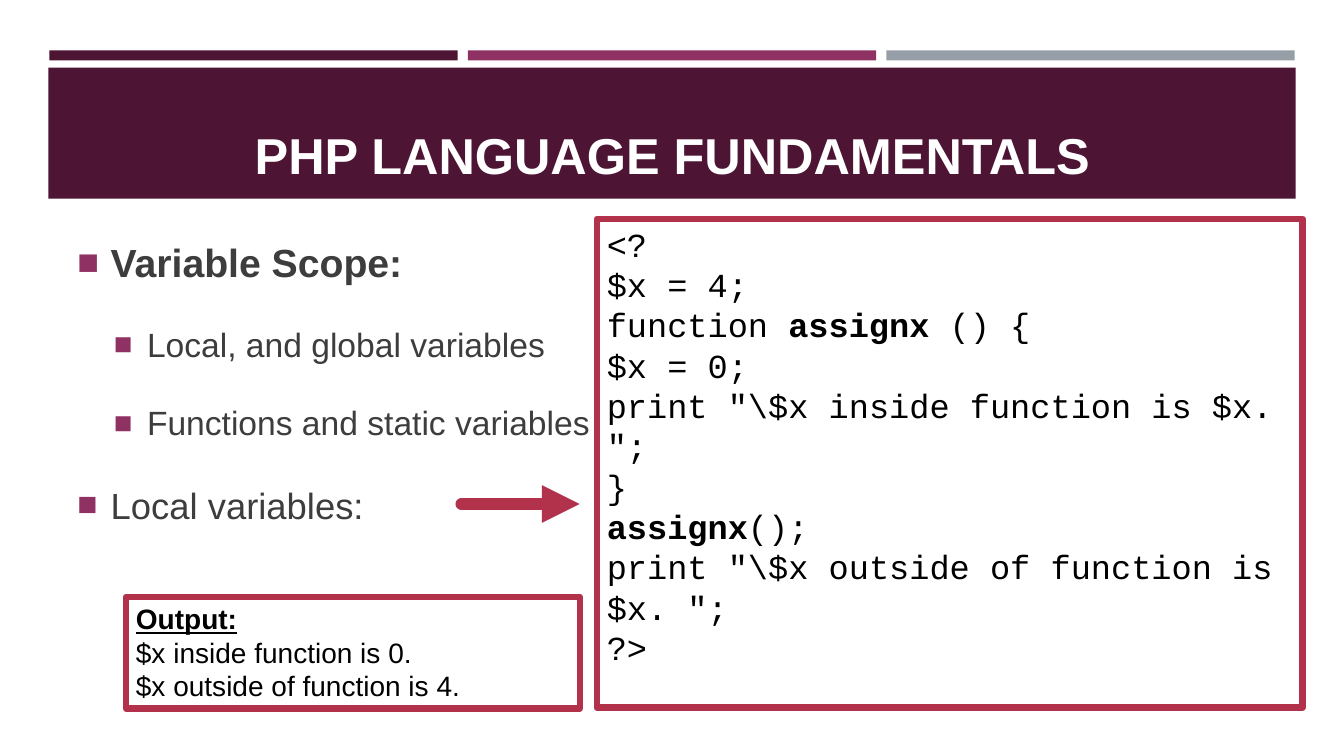
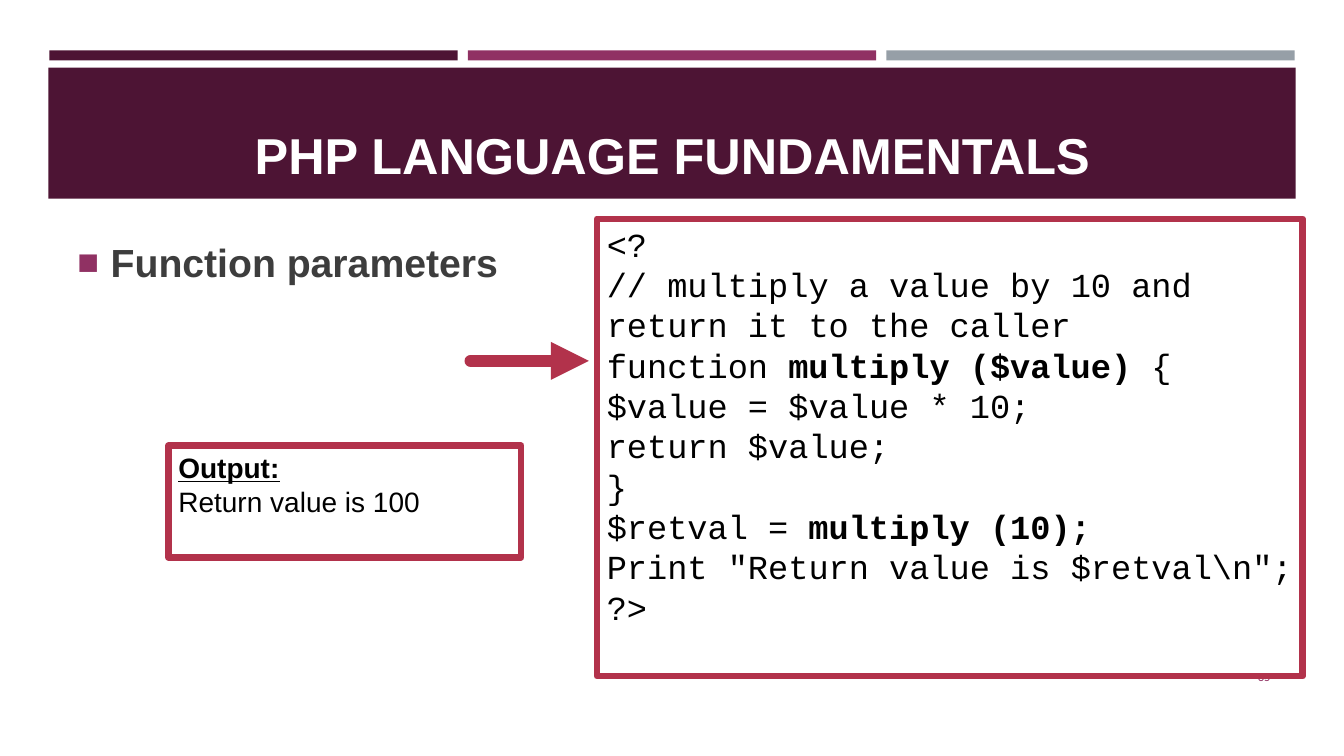
from lxml.etree import SubElement
from pptx import Presentation
from pptx.dml.color import RGBColor
from pptx.enum.shapes import MSO_CONNECTOR as Connector, MSO_SHAPE as Shape
from pptx.enum.text import MSO_ANCHOR as Anchor, PP_ALIGN as Align
from pptx.oxml.ns import qn
from pptx.util import Inches, Pt

# Shared look
PLUM, MAGENTA, GREY = "4D1434", "903163", "969FA7"
RED, WHITE, BLACK, BODY_GREY = "B2324B", "FFFFFF", "000000", "3D3D3D"
SANS, MONO, NUMBER_FONT = "Arial", "Courier New", "Calibri"
TITLE = "PHP LANGUAGE FUNDAMENTALS"
INDENTS = (0.33, 0.69)
HANGING = 0.33


def color(hex_string):
    return RGBColor.from_string(hex_string)


def add_text(paragraph, text, font=SANS, size=20, fill=BLACK, bold=False, underline=False):
    run = paragraph.add_run()
    run.text = text
    run.font.name = font
    run.font.size = Pt(size)
    run.font.bold = bold
    run.font.underline = underline
    run.font.color.rgb = color(fill)


def add_rectangle(slide, left, top, width, height, fill, border=None):
    shape = slide.shapes.add_shape(
        Shape.RECTANGLE, Inches(left), Inches(top), Inches(width), Inches(height))
    shape.shadow.inherit = False
    shape.fill.solid()
    shape.fill.fore_color.rgb = color(fill)
    if border:
        shape.line.color.rgb = color(border)
        shape.line.width = Pt(4.5)
    else:
        shape.line.fill.background()
    return shape


def add_text_box(slide, left, top, width, height, anchor=Anchor.TOP):
    box = slide.shapes.add_textbox(Inches(left), Inches(top), Inches(width), Inches(height))
    box.text_frame.word_wrap = True
    box.text_frame.vertical_anchor = anchor
    return box.text_frame


def next_paragraph(frame, index):
    return frame.add_paragraph() if index else frame.paragraphs[0]


def add_header(slide):
    # Three narrow bands above the title band
    for column, fill in enumerate((PLUM, MAGENTA, GREY)):
        add_rectangle(slide, 0.49 + column * 4.15, 0.5, 4.05, 0.1, fill)
    add_rectangle(slide, 0.48, 0.67, 12.37, 1.3, PLUM)
    paragraph = add_text_box(slide, 0.64, 0.77, 12.06, 1.11, Anchor.BOTTOM).paragraphs[0]
    paragraph.alignment = Align.CENTER
    add_text(paragraph, TITLE, size=36, fill=WHITE, bold=True)


def add_bullet(paragraph, level):
    properties = paragraph._p.get_or_add_pPr()
    properties.set("marL", str(Inches(INDENTS[level])))
    properties.set("indent", str(-Inches(HANGING)))
    bullet_color = SubElement(properties, qn("a:buClr"))
    SubElement(bullet_color, qn("a:srgbClr"), val=MAGENTA)
    SubElement(properties, qn("a:buSzPct"), val="92000")
    SubElement(properties, qn("a:buFont"), typeface=SANS)
    SubElement(properties, qn("a:buChar"), char="■")


def add_bullets(slide, items):
    frame = add_text_box(slide, 0.67, 2.08, 12, 5.42)
    for index, (level, text, size, bold) in enumerate(items):
        paragraph = next_paragraph(frame, index)
        add_bullet(paragraph, level)
        paragraph.level = level
        paragraph.line_spacing = 1.5
        paragraph.space_after = Pt(6)
        if index:
            paragraph.space_before = Pt(7)
        add_text(paragraph, text, size=size, fill=BODY_GREY, bold=bold)


def add_framed_box(slide, left, top, width, height):
    frame = add_rectangle(slide, left, top, width, height, WHITE, RED).text_frame
    frame.word_wrap = True
    frame.vertical_anchor = Anchor.TOP
    return frame


def add_code(slide, height, lines):
    # Each line is a list of parts, alternately regular and bold
    frame = add_framed_box(slide, 5.92, 2.17, 7, height)
    for index, parts in enumerate(lines):
        paragraph = next_paragraph(frame, index)
        paragraph.alignment = Align.LEFT
        for position, part in enumerate(parts):
            if part:
                add_text(paragraph, part, font=MONO, size=24, bold=position % 2 == 1)


def add_output(slide, left, top, width, lines):
    frame = add_framed_box(slide, left, top, width, 1.11)
    for index, line in enumerate(["Output:", *lines]):
        paragraph = next_paragraph(frame, index)
        paragraph.alignment = Align.LEFT
        add_text(paragraph, line, bold=index == 0, underline=index == 0)


def add_arrow(slide, left, top):
    arrow = slide.shapes.add_connector(
        Connector.STRAIGHT, Inches(left), Inches(top), Inches(left + 1.17), Inches(top))
    arrow.line.color.rgb = color(RED)
    arrow.line.width = Pt(9)
    line = arrow.line._get_or_add_ln()
    line.set("cap", "rnd")
    SubElement(line, qn("a:tailEnd"), type="triangle")
    SubElement(arrow._element.spPr, qn("a:effectLst"))


def add_page_number(slide, number):
    paragraph = add_text_box(slide, 11.55, 6.51, 1.15, 0.4, Anchor.MIDDLE).paragraphs[0]
    paragraph.alignment = Align.RIGHT
    add_text(paragraph, number, font=NUMBER_FONT, size=9, fill=MAGENTA)


def add_slide(presentation):
    slide = presentation.slides.add_slide(presentation.slide_layouts[6])
    add_header(slide)
    return slide


def build_scope_slide(presentation):
    slide = add_slide(presentation)
    add_bullets(slide, [
        (0, "Variable Scope:", 28, True),
        (1, "Local, and global variables", 24, False),
        (1, "Functions and static variables", 24, False),
        (0, "Local variables:", 26, False),
    ])
    add_code(slide, 4.85, [
        ["<?"],
        ["$x = 4;"],
        ["function ", "assignx", " () {"],
        ["$x = 0;"],
        ['print "\\$x inside function is $x. ";'],
        ["}"],
        ["", "assignx", "();"],
        ['print "\\$x outside of function is $x. ";'],
        ["?>"],
    ])
    add_arrow(slide, 4.58, 5)
    add_output(slide, 1.25, 5.92, 4.5,
               ["$x inside function is 0.", "$x outside of function is 4."])


def build_parameters_slide(presentation):
    slide = add_slide(presentation)
    add_bullets(slide, [(0, "Function parameters", 28, True)])
    add_page_number(slide, "35")
    add_code(slide, 4.54, [
        ["<?"],
        ["// multiply a value by 10 and return it to the caller"],
        ["function ", "multiply ($value) ", "{"],
        ["$value = $value * 10;"],
        ["return $value;"],
        ["}"],
        ["$retval = ", "multiply (10);"],
        ['Print "Return value is $retval\\n";'],
        ["?>"],
    ])
    add_arrow(slide, 4.67, 3.58)
    add_output(slide, 1.67, 4.42, 3.5, ["Return value is 100"])


def main():
    presentation = Presentation()
    presentation.slide_width = Inches(13.33)
    presentation.slide_height = Inches(7.5)
    build_scope_slide(presentation)
    build_parameters_slide(presentation)
    presentation.save("out.pptx")


if __name__ == "__main__":
    main()
